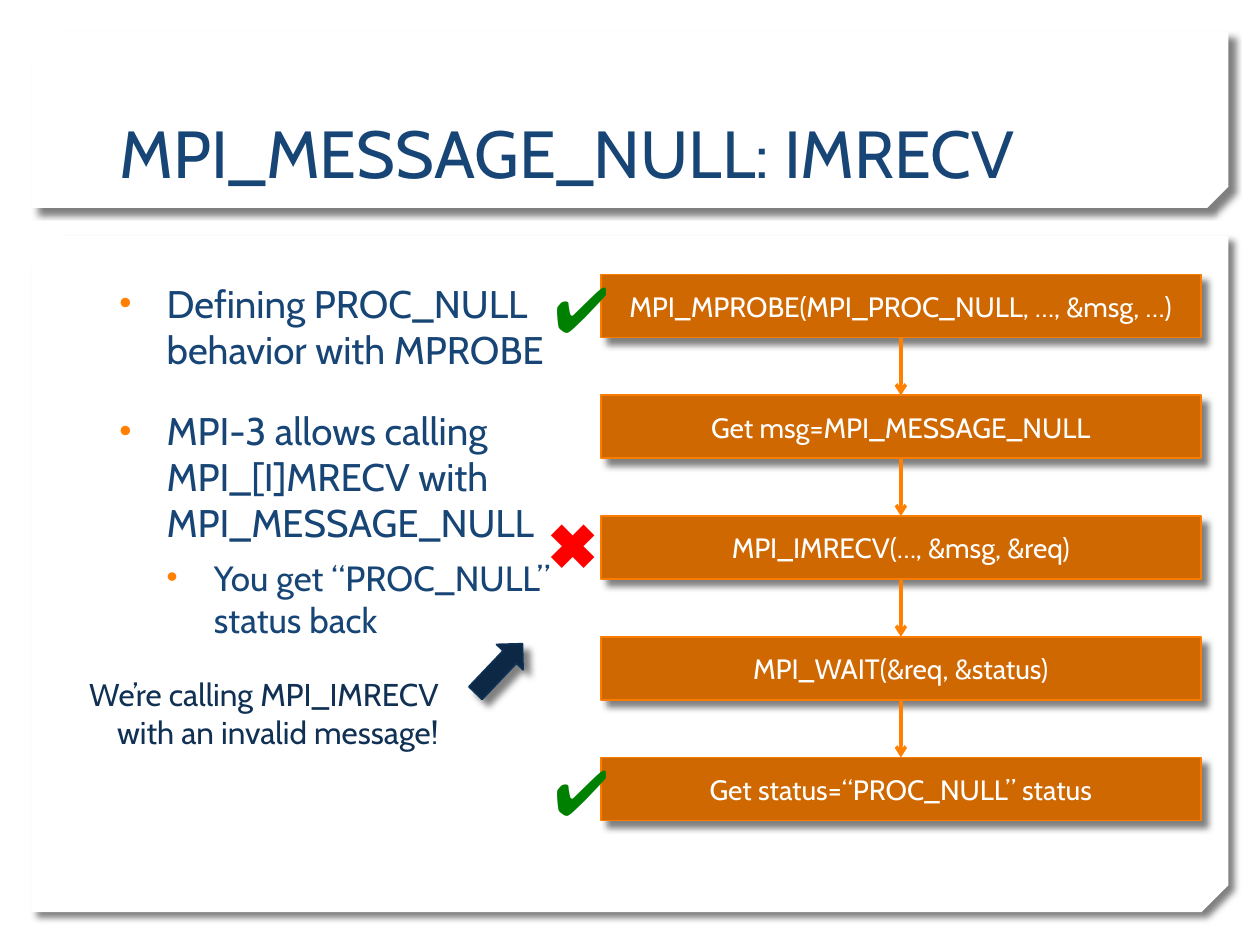
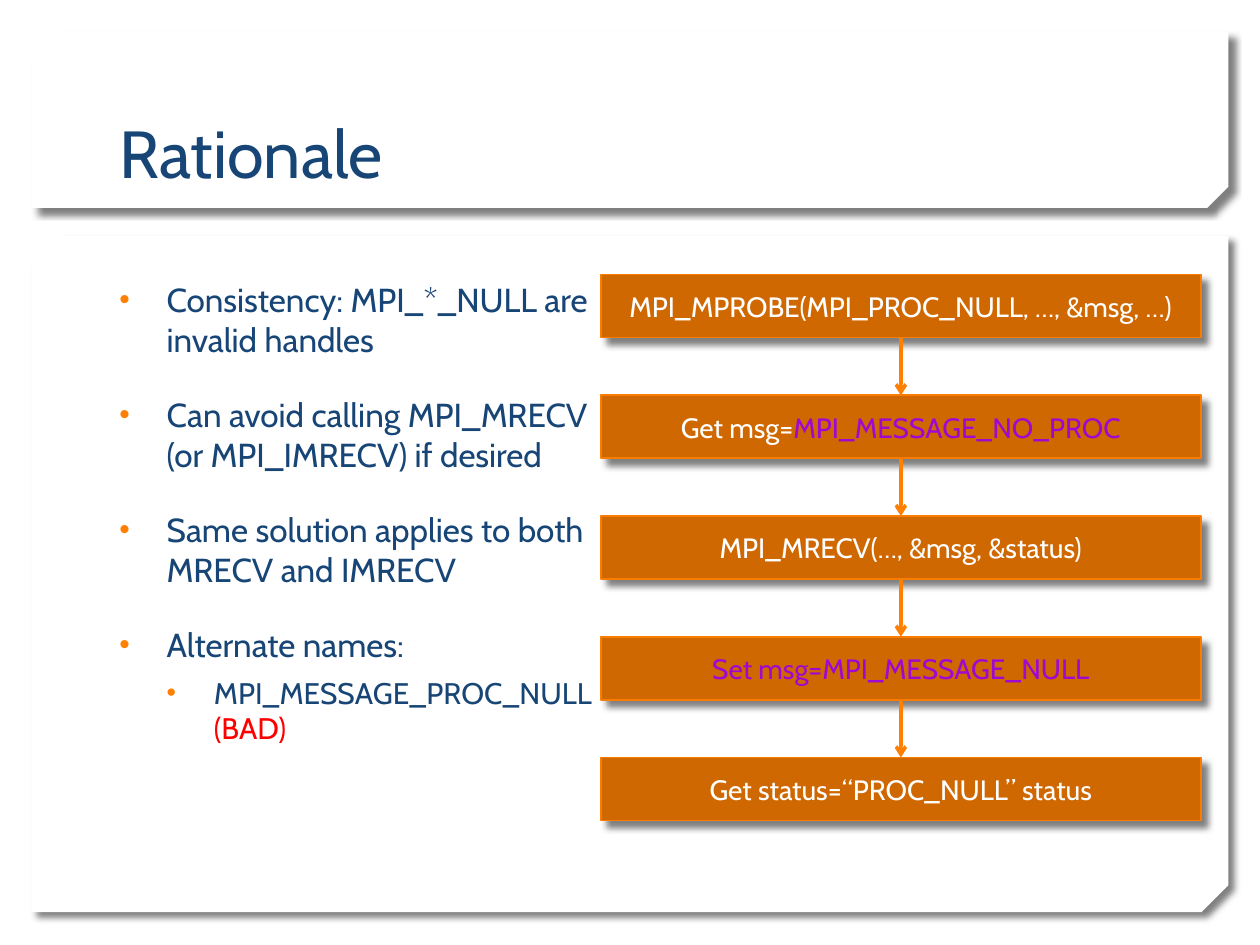
from lxml.etree import SubElement
from pptx import Presentation
from pptx.dml.color import RGBColor
from pptx.enum.shapes import MSO_CONNECTOR, MSO_SHAPE
from pptx.enum.text import MSO_ANCHOR, PP_ALIGN
from pptx.oxml.ns import qn
from pptx.util import Inches, Pt

COLORS = {
    "panel": "FFFFFF", "title": "174576", "accent": "FF7F01",
    "step": "D06801", "step_edge": "FA7C00", "step_text": "FFFFFF",
    "change": "9D09D1", "good": "008000", "bad": "FF0000",
    "note": "103154", "pointer": "0D2845", "pointer_edge": "0E3054",
    "shadow": "000000",
}
FONT = "Cabin"
WIDTH, HEIGHT = Inches(10), Inches(7.5)
COLUMNS, ROWS = 100, 75
STEP_LEFT, STEP_TOP, STEP_WIDTH, STEP_HEIGHT = 47.7, 21.8, 47.6, 5
STEP_PITCH = 9.58


def column(count):
    """Length of a number of grid columns."""
    return round(WIDTH * count / COLUMNS)


def row(count):
    """Length of a number of grid rows."""
    return round(HEIGHT * count / ROWS)


def area(left, top, width, height):
    """Place and size of a block of grid cells."""
    return column(left), row(top), column(width), row(height)


def color(name):
    """Colour object for a palette name."""
    return RGBColor.from_string(COLORS[name])


def write(para, spans, size, ink, font=FONT, bold=False, align=None):
    """Fill a paragraph with plain text or with (text, colour) pairs."""
    if isinstance(spans, str):
        spans = [(spans, ink)]
    para.alignment = align
    for text, shade in spans:
        span = para.add_run()
        span.text = text
        span.font.name = font
        span.font.size = Pt(size)
        span.font.bold = bold
        span.font.color.rgb = color(shade)


def add_bullet(para, level):
    """Give a paragraph a hanging accent bullet."""
    para.level = level
    props = para._p.get_or_add_pPr()
    props.set("marL", str(column(3.75) * (level + 1)))
    props.set("indent", str(-column(3.75)))
    SubElement(SubElement(props, qn("a:buClr")), qn("a:srgbClr"), val=COLORS["accent"])
    SubElement(props, qn("a:buSzPct"), val="90000")
    SubElement(props, qn("a:buFont"), typeface="Arial")
    SubElement(props, qn("a:buChar"), char="•")


def add_shadow(shape):
    """Cast a soft shadow to the lower right."""
    shape.shadow.inherit = False
    effects = shape.element.spPr.find(qn("a:effectLst"))
    outer = SubElement(effects, qn("a:outerShdw"), blurRad=str(Pt(4)), dist=str(Pt(5)),
                       dir="2700000", algn="tl", rotWithShape="0")
    tint = SubElement(outer, qn("a:srgbClr"), val=COLORS["shadow"])
    SubElement(tint, qn("a:alpha"), val="50000")


def add_figure(page, kind, place, fill, edge=None):
    """Add a filled preset shape with a shadow."""
    shape = page.shapes.add_shape(kind, *place)
    shape.fill.solid()
    shape.fill.fore_color.rgb = color(fill)
    if edge:
        shape.line.color.rgb = color(edge)
        shape.line.width = Pt(1)
    else:
        shape.line.fill.background()
    add_shadow(shape)
    return shape


def add_panel(page, layout, place, snip):
    """Put a white panel with snipped corners on the shared layout."""
    panel = add_figure(page, MSO_SHAPE.SNIP_2_DIAG_RECTANGLE, place, "panel")
    panel.adjustments[0] = 0
    panel.adjustments[1] = snip
    panel.element.spPr.find(qn("a:xfrm")).set("flipV", "1")
    layout.shapes.element.insert(2, panel.element)


def add_title(page, text):
    """Move and format the title placeholder."""
    title = page.shapes.title
    title.left, title.top, title.width, title.height = area(8.5, 3.2, 82.9, 12.5)
    title.text_frame.vertical_anchor = MSO_ANCHOR.BOTTOM
    write(title.text_frame.paragraphs[0], text, 38, "title", align=PP_ALIGN.LEFT)


def add_text(page, place, lines, wrap=True, **style):
    """Add a text box with one paragraph for each line."""
    frame = page.shapes.add_textbox(*place).text_frame
    frame.word_wrap = wrap
    for index, line in enumerate(lines):
        para = frame.add_paragraph() if index else frame.paragraphs[0]
        write(para, line, **style)


def add_bullets(page, width, items, sizes):
    """Add a bullet list of (level, spans) items with a size for each level."""
    frame = page.shapes.add_textbox(*area(8.5, 21.7, width, 43.5)).text_frame
    frame.word_wrap = True
    for index, (level, spans) in enumerate(items):
        para = frame.add_paragraph() if index else frame.paragraphs[0]
        add_bullet(para, level)
        para.space_before = Pt((20, 6)[level] if index else 0)
        write(para, spans, sizes[level], "title")


def step_top(index):
    """Grid row where a step of the flow begins."""
    return STEP_TOP + index * STEP_PITCH


def add_step(page, index, spans):
    """Add one box of the call flow."""
    place = area(STEP_LEFT, step_top(index), STEP_WIDTH, STEP_HEIGHT)
    box = add_figure(page, MSO_SHAPE.RECTANGLE, place, "step", "step_edge")
    box.text_frame.word_wrap = True
    box.text_frame.vertical_anchor = MSO_ANCHOR.MIDDLE
    write(box.text_frame.paragraphs[0], spans, 16, "step_text", align=PP_ALIGN.CENTER)


def add_arrow(page, index):
    """Add the arrow from a step to the next one."""
    middle = column(STEP_LEFT + STEP_WIDTH / 2)
    arrow = page.shapes.add_connector(
        MSO_CONNECTOR.STRAIGHT, middle, row(step_top(index) + STEP_HEIGHT),
        middle, row(step_top(index + 1)))
    arrow.line.color.rgb = color("accent")
    arrow.line.width = Pt(2)
    props = arrow.element.spPr
    SubElement(props.find(qn("a:ln")), qn("a:tailEnd"), type="arrow")
    SubElement(props, qn("a:effectLst"))


def add_flow(page, steps):
    """Add the column of steps joined by arrows."""
    for index, spans in enumerate(steps):
        add_step(page, index, spans)
    for index in range(len(steps) - 1):
        add_arrow(page, index)


def add_check(page, index):
    """Mark a step as correct."""
    add_text(page, area(43, step_top(index) - 0.9, 3.9, 7.1), ["✔"],
             size=36, ink="good", font="Arial", bold=True)


def add_cross(page, index):
    """Mark a step as wrong."""
    add_text(page, area(42.5, step_top(index) - 1.3, 5.9, 7.1), ["✖"],
             wrap=False, size=36, ink="bad", font="Arial")


def add_pointer(page):
    """Add the block arrow from the note to the wrong step."""
    pointer = add_figure(page, MSO_SHAPE.RIGHT_ARROW, area(36.9, 51.6, 5.4, 2.9),
                         "pointer", "pointer_edge")
    pointer.rotation = 313.6


def fill_imrecv(page):
    """Show the inconsistent call sequence."""
    add_title(page, "MPI_MESSAGE_NULL: IMRECV")
    add_bullets(page, 40, [
        (0, "Defining PROC_NULL behavior with MPROBE"),
        (0, "MPI-3 allows calling MPI_[I]MRECV with MPI_MESSAGE_NULL"),
        (1, "You get “PROC_NULL” status back"),
    ], sizes=(22, 20))
    add_flow(page, [
        "MPI_MPROBE(MPI_PROC_NULL, …, &msg, …)",
        "Get msg=MPI_MESSAGE_NULL",
        "MPI_IMRECV(…, &msg, &req)",
        "MPI_WAIT(&req, &status)",
        "Get status=“PROC_NULL” status",
    ])
    add_check(page, 0)
    add_cross(page, 2)
    add_check(page, 4)
    add_text(page, area(6, 53.1, 29.8, 7.1),
             ["We’re calling MPI_IMRECV", "with an invalid message!"],
             wrap=False, size=18, ink="note", align=PP_ALIGN.RIGHT)
    add_pointer(page)


def fill_rationale(page):
    """Show the proposed call sequence and its reasons."""
    add_title(page, "Rationale")
    add_bullets(page, 41.6, [
        (0, "Consistency: MPI_*_NULL are invalid handles"),
        (0, "Can avoid calling MPI_MRECV (or MPI_IMRECV) if desired"),
        (0, "Same solution applies to both MRECV and IMRECV"),
        (0, "Alternate names:"),
        (1, [("MPI_MESSAGE_PROC_NULL ", "title"), ("(BAD)", "bad")]),
    ], sizes=(19, 17))
    add_flow(page, [
        "MPI_MPROBE(MPI_PROC_NULL, …, &msg, …)",
        [("Get msg=", "step_text"), ("MPI_MESSAGE_NO_PROC", "change")],
        "MPI_MRECV(…, &msg, &status)",
        [("Set msg=MPI_MESSAGE_NULL", "change")],
        "Get status=“PROC_NULL” status",
    ])


def main():
    """Build and save the deck."""
    deck = Presentation()
    deck.slide_width, deck.slide_height = WIDTH, HEIGHT
    layout = deck.slide_layouts[5]
    pages = [deck.slides.add_slide(layout) for _ in range(2)]
    add_panel(pages[0], layout, area(2.5, 2.5, 95, 14), 0.12)
    add_panel(pages[0], layout, area(2.5, 18.7, 95, 53.7), 0.04)
    fill_imrecv(pages[0])
    fill_rationale(pages[1])
    deck.save("out.pptx")


if __name__ == "__main__":
    main()
